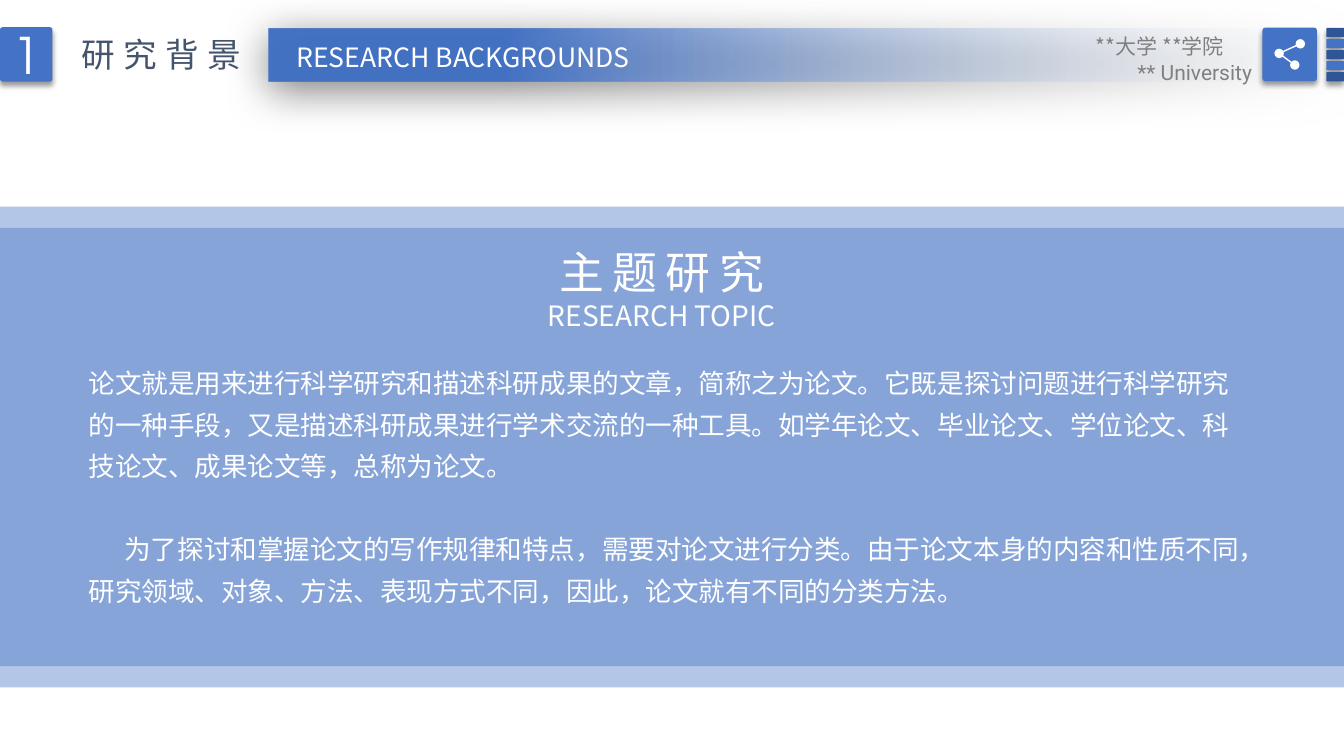
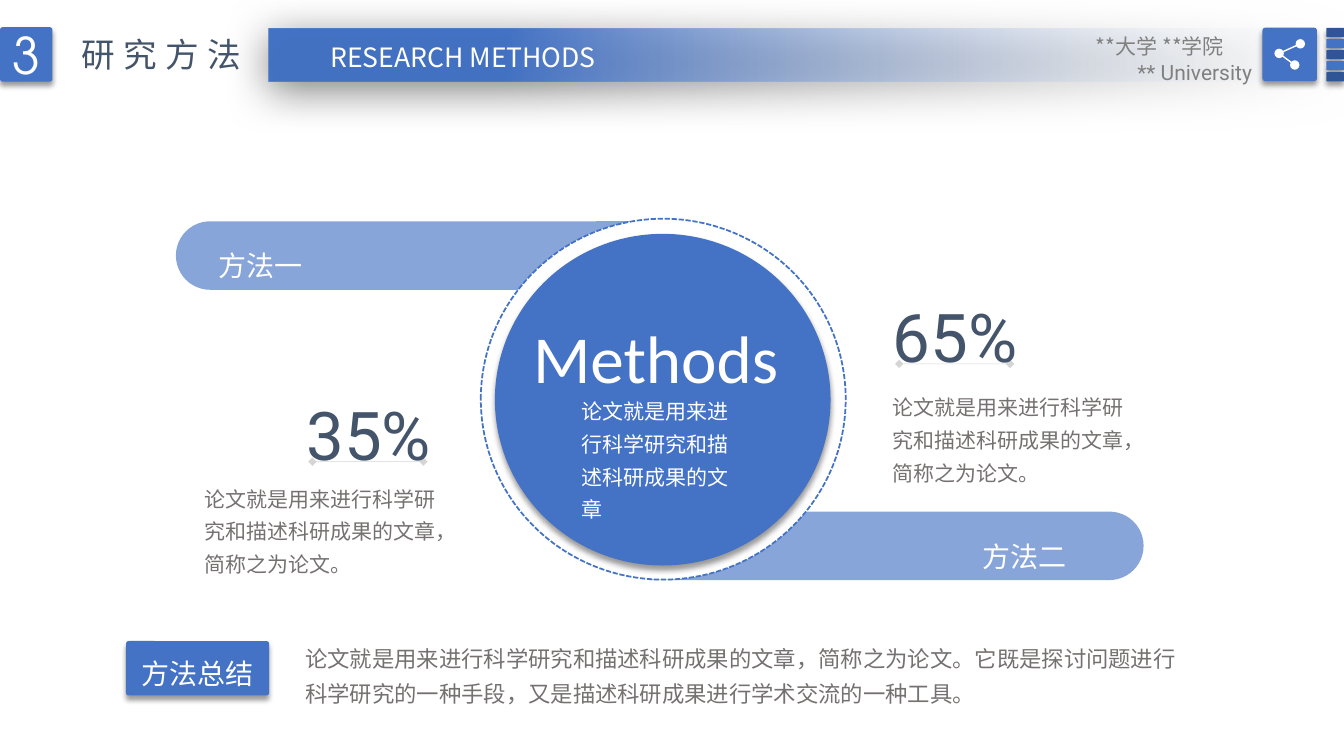
from dataclasses import dataclass
from typing import NamedTuple, Optional

from lxml import etree
from pptx import Presentation
from pptx.dml.color import RGBColor
from pptx.enum.dml import MSO_LINE
from pptx.enum.shapes import MSO_CONNECTOR, MSO_SHAPE
from pptx.enum.text import MSO_ANCHOR, MSO_AUTO_SIZE, PP_ALIGN
from pptx.oxml.ns import qn
from pptx.util import Inches, Pt

RECTANGLE = MSO_SHAPE.RECTANGLE
ROUNDED = MSO_SHAPE.ROUNDED_RECTANGLE
PILL = MSO_SHAPE.ROUND_2_SAME_RECTANGLE
OVAL = MSO_SHAPE.OVAL
STRAIGHT = MSO_CONNECTOR.STRAIGHT
DASHED = MSO_LINE.SQUARE_DOT
LEFT, CENTER, RIGHT = PP_ALIGN.LEFT, PP_ALIGN.CENTER, PP_ALIGN.RIGHT
MIDDLE, TOP = MSO_ANCHOR.MIDDLE, MSO_ANCHOR.TOP
GROW = MSO_AUTO_SIZE.SHAPE_TO_FIT_TEXT

BLUE = RGBColor(0x44, 0x72, 0xC4)
DARK_BLUE = RGBColor(0x2F, 0x55, 0x97)
PALE = RGBColor(0xF7, 0xFA, 0xFD)
WHITE = RGBColor(0xFF, 0xFF, 0xFF)
SLATE = RGBColor(0x44, 0x54, 0x6A)
GRAY = RGBColor(0x80, 0x80, 0x80)
WARM_GRAY = RGBColor(0x76, 0x71, 0x71)

COLUMNS, ROWS = 80, 45
WIDTH, HEIGHT = Inches(13.333), Inches(7.5)
CJK, ROBOTO = "Noto Sans CJK SC", "Roboto"
LOOSE = 1.3


class Place(NamedTuple):
    column: float
    row: float
    columns: float
    rows: float


class Shadow(NamedTuple):
    opacity: int
    blur: float
    distance: float
    angle: int


@dataclass(frozen=True)
class Look:
    size: float
    color: RGBColor = WHITE
    name: str = CJK
    align: PP_ALIGN = LEFT
    spacing: float = 1.0
    tracking: float = 0
    before: float = 0
    indent: float = 0


class Line(NamedTuple):
    text: str
    look: Look


@dataclass(frozen=True)
class Finding:
    figure: str
    column: float
    row: float
    note: Place


TILE_SHADOW = Shadow(40, 4, 3, 90)
BAR_SHADOW = Shadow(50, 31, 6, 97)

NUMBER = Look(36, name="TeX Gyre Adventor", align=CENTER)
TITLE = Look(24, SLATE, tracking=6)
SUBTITLE = Look(19, align=CENTER)
SCHOOL = Look(15, GRAY, align=RIGHT)
UNIVERSITY = Look(15, GRAY, ROBOTO, RIGHT)
TOPIC = Look(32, align=CENTER, tracking=6)
TOPIC_ENGLISH = Look(20, align=CENTER)
BODY = Look(19, spacing=LOOSE)
BODY_NEXT = Look(19, spacing=LOOSE, before=29.7, indent=2.14)
HUB = Look(48, name="Calibri", spacing=LOOSE)
HUB_NOTE = Look(15, spacing=LOOSE)
LABEL = Look(20, spacing=LOOSE)
BADGE = Look(20, align=CENTER, spacing=LOOSE)
FIGURE = Look(48, SLATE, ROBOTO, spacing=LOOSE)
NOTE = Look(15, WARM_GRAY, spacing=LOOSE)
SUMMARY = Look(16, WARM_GRAY, spacing=LOOSE)

ICON_NODES = ((76.14, 3.18), (77.4, 2.61), (77.07, 3.87))
NODE_SIZE = 0.56
STRIPES, STRIPE_STEP = 5, 0.66
BANDS = (Place(0, 13.56, COLUMNS, 27.36), Place(0, 12.3, COLUMNS, 27.36))
PILLS = ((Place(51.3, 17.76, 4.08, 29.46), 90), (Place(23.16, 0.48, 4.08, 29.46), 270))

DEFINITION = "论文就是用来进行科学研究和描述科研成果的文章"
SHORT_NOTE = DEFINITION + "，简称之为论文。"
TOOL_START = SHORT_NOTE + "它既是探讨问题进行科学研究的一种手段，又是描述科研成果进行学术交流的一种工具。"
BODY_LINES = (
    Line(TOOL_START + "如学年论文、毕业论文、学位论文、科技论文、成果论文等，总称为论文。", BODY),
    Line(
        "为了探讨和掌握论文的写作规律和特点，需要对论文进行分类。由于论文本身的内容和性质不同，"
        "研究领域、对象、方法、表现方式不同，因此，论文就有不同的分类方法。",
        BODY_NEXT,
    ),
)
FINDINGS = (
    Finding("35%", 17.64, 21.66, Place(11.58, 28.2, 15.42, 6.54)),
    Finding("65%", 52.56, 15.84, Place(52.56, 22.74, 15.42, 6.54)),
)


def across(columns: float) -> int:
    return round(WIDTH * columns / COLUMNS)


def down(rows: float) -> int:
    return round(HEIGHT * rows / ROWS)


def bounds(place: Place) -> tuple:
    return across(place.column), down(place.row), across(place.columns), down(place.rows)


def fade(element, opacity: int) -> None:
    color = next(element.iter(qn("a:srgbClr")))
    etree.SubElement(color, qn("a:alpha"), val=str(opacity * 1000))


def add_shadow(shape, shadow: Shadow) -> None:
    effects = shape._element.spPr.find(qn("a:effectLst"))
    outer = etree.SubElement(
        effects,
        qn("a:outerShdw"),
        blurRad=str(Pt(shadow.blur)),
        dist=str(Pt(shadow.distance)),
        dir=str(shadow.angle * 60000),
        algn="ctr",
        rotWithShape="0",
    )
    etree.SubElement(outer, qn("a:srgbClr"), val="000000")
    fade(outer, shadow.opacity)


def write(frame, lines: tuple, wrap: bool = True, anchor=TOP) -> None:
    frame.word_wrap = wrap
    frame.vertical_anchor = anchor
    for index, (text, look) in enumerate(lines):
        para = frame.add_paragraph() if index else frame.paragraphs[0]
        layout = {"alignment": look.align, "line_spacing": look.spacing}
        if look.before:
            layout["space_before"] = Pt(look.before)
        for key, value in layout.items():
            setattr(para, key, value)
        if look.indent:
            para._p.get_or_add_pPr().set("indent", str(across(look.indent)))
        span = para.add_run()
        span.text = text
        for key, value in {"size": Pt(look.size), "name": look.name}.items():
            setattr(span.font, key, value)
        span.font.color.rgb = look.color
        properties = span._r.get_or_add_rPr()
        etree.SubElement(properties, qn("a:ea"), typeface=look.name)
        if look.tracking:
            properties.set("spc", str(round(look.tracking * 100)))


def add_text(page, place: Place, *lines: Line, wrap: bool = True) -> None:
    frame = page.shapes.add_textbox(*bounds(place)).text_frame
    write(frame, lines, wrap)
    frame.auto_size = GROW


def add_block(
    page,
    kind,
    place: Place,
    color: RGBColor,
    opacity: int = 100,
    shadow: Optional[Shadow] = None,
    corners: tuple = (),
    turn: int = 0,
):
    shape = page.shapes.add_shape(kind, *bounds(place))
    shape.shadow.inherit = False
    shape.fill.solid()
    shape.fill.fore_color.rgb = color
    shape.line.fill.background()
    shape.rotation = turn
    for index, corner in enumerate(corners):
        shape.adjustments[index] = corner
    if opacity < 100:
        fade(shape._element.spPr, opacity)
    if shadow:
        add_shadow(shape, shadow)
    return shape


def add_tile(page, place: Place, color: RGBColor = BLUE, *lines: Line) -> None:
    tile = add_block(page, ROUNDED, place, color, shadow=TILE_SHADOW, corners=(0.05,))
    if lines:
        write(tile.text_frame, lines, anchor=MIDDLE)


def add_line(page, start: tuple, end: tuple, color: RGBColor, width: float):
    line = page.shapes.add_connector(
        STRAIGHT, across(start[0]), down(start[1]), across(end[0]), down(end[1])
    )
    line.line.color.rgb = color
    line.line.width = Pt(width)
    etree.SubElement(line._element.spPr, qn("a:effectLst"))
    return line


def add_share_icon(page) -> None:
    add_tile(page, Place(75.15, 1.65, 3.24, 3.18))
    hub, *others = ICON_NODES
    for node in others:
        add_line(page, hub, node, WHITE, 1)
    for column, row in ICON_NODES:
        half = NODE_SIZE / 2
        add_block(page, OVAL, Place(column - half, row - half, NODE_SIZE, NODE_SIZE), WHITE)


def add_header(page, number: str, title: str, subtitle: str) -> None:
    bar = add_block(page, RECTANGLE, Place(16, 1.68, 64, 3.18), BLUE)
    bar.fill.gradient()
    bar.fill.gradient_angle = 180
    for stop, position, color in zip(bar.fill.gradient_stops, (0, 0.78), (PALE, BLUE)):
        stop.position = position
        stop.color.rgb = color
    fade(bar._element.spPr, 0)
    add_shadow(bar, BAR_SHADOW)
    add_tile(page, Place(0, 1.62, 3.12, 3.24), BLUE, Line(number, NUMBER))
    add_text(page, Place(4.26, 1.74, 11.28, 3), Line(title, TITLE), wrap=False)
    add_text(page, Place(16.5, 2.16, 22.14, 2.52), Line(subtitle, SUBTITLE), wrap=False)
    for index in range(STRIPES):
        color = BLUE if index % 2 else DARK_BLUE
        add_tile(page, Place(78.96, 1.66 + index * STRIPE_STEP, 1.04, 0.54), color)
    add_share_icon(page)
    add_text(page, Place(60.9, 1.68, 12.54, 2.1), Line("**大学 **学院", SCHOOL))
    add_text(page, Place(60.9, 3.24, 14.22, 2.1), Line("** University", UNIVERSITY))


def add_finding(page, finding: Finding) -> None:
    add_text(page, finding.note, Line(SHORT_NOTE, NOTE))
    left, row = finding.column + 0.96, finding.row + 5.82
    rule = add_line(page, (left + 6.6, row), (left, row), GRAY, 0.25)
    outline = rule._element.spPr.find(qn("a:ln"))
    fade(outline, 33)
    for end in ("a:headEnd", "a:tailEnd"):
        etree.SubElement(outline, qn(end), type="diamond")
    place = Place(finding.column, finding.row, 8.88, 6.9)
    add_text(page, place, Line(finding.figure, FIGURE), wrap=False)


def build_background(page) -> None:
    for band in BANDS:
        add_block(page, RECTANGLE, band, BLUE, opacity=40)
    add_header(page, "1", "研究背景", "RESEARCH BACKGROUNDS")
    add_text(
        page,
        Place(10.38, 14.28, 58.02, 5.88),
        Line("主题研究", TOPIC),
        Line("RESEARCH TOPIC", TOPIC_ENGLISH),
    )
    add_text(page, Place(4.68, 21, 70.68, 17.16), *BODY_LINES)


def build_methods(page) -> None:
    add_header(page, "3", "研究方法", "RESEARCH METHODS")
    for place, turn in PILLS:
        add_block(page, PILL, place, BLUE, opacity=63, corners=(0.5, 0), turn=turn)
    ring = add_block(page, OVAL, Place(28.62, 13.02, 21.72, 21.48), WHITE)
    ring.line.color.rgb = BLUE
    for key, value in {"width": Pt(1.25), "dash_style": DASHED}.items():
        setattr(ring.line, key, value)
    add_block(page, OVAL, Place(29.46, 13.92, 19.98, 19.74), BLUE, shadow=TILE_SHADOW)
    add_text(page, Place(31.14, 17.1, 17.34, 6.9), Line("Methods", HUB))
    add_text(page, Place(34.02, 22.98, 10.62, 8.46), Line(DEFINITION, HUB_NOTE))
    for text, column, row in (("方法一", 12.42, 13.92), ("方法二", 57.9, 31.2)):
        add_text(page, Place(column, row, 8.58, 3.24), Line(text, LABEL))
    for finding in FINDINGS:
        add_finding(page, finding)
    add_tile(page, Place(7.5, 38.16, 8.52, 3.24), BLUE, Line("方法总结", BADGE))
    add_text(page, Place(17.58, 37.62, 54.06, 4.8), Line(TOOL_START, SUMMARY))


def main() -> None:
    deck = Presentation()
    deck.slide_width, deck.slide_height = WIDTH, HEIGHT
    for build in (build_background, build_methods):
        build(deck.slides.add_slide(deck.slide_layouts[6]))
    deck.save("out.pptx")


if __name__ == "__main__":
    main()
